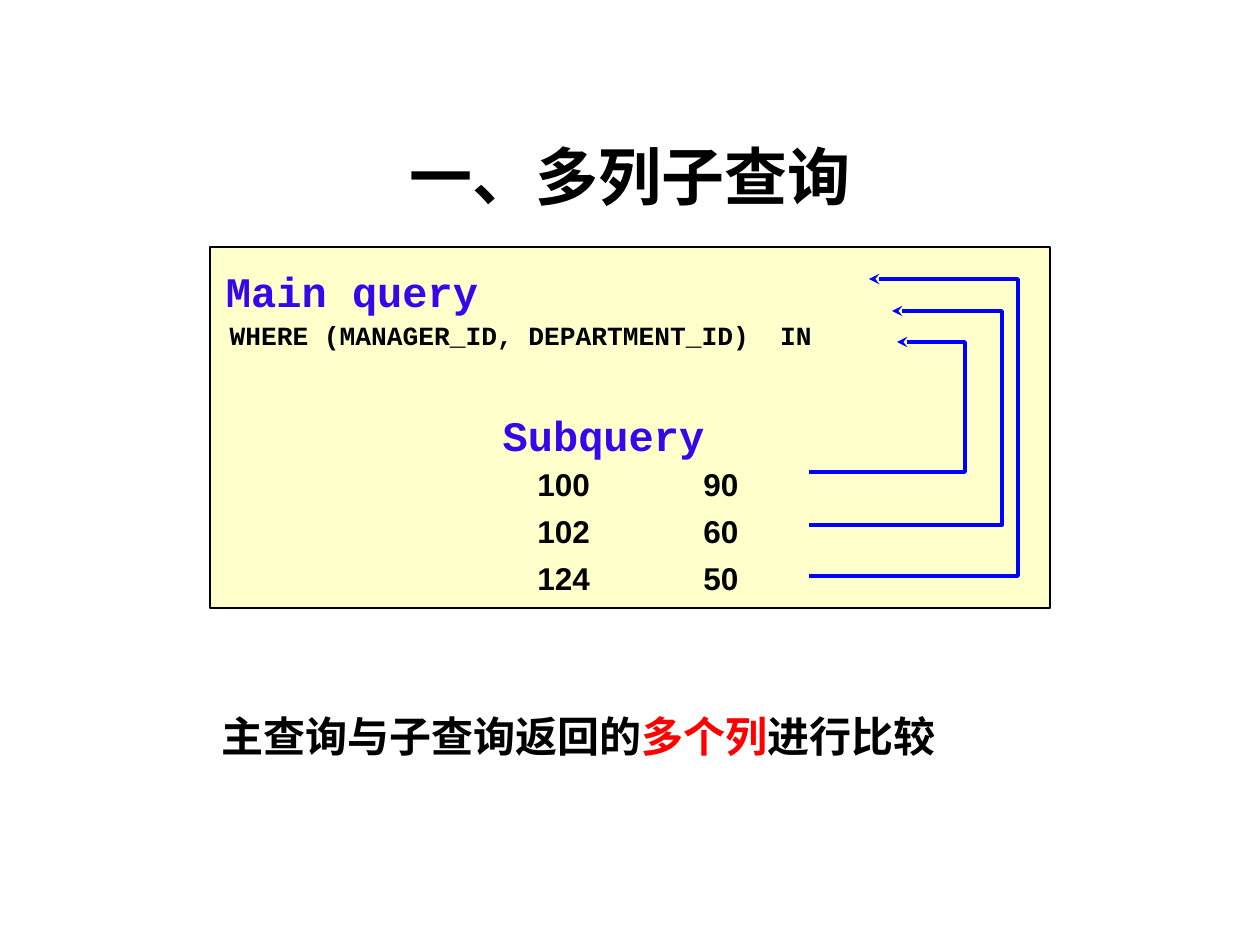
from dataclasses import dataclass

from lxml.etree import SubElement
from pptx import Presentation
from pptx.dml.color import RGBColor
from pptx.enum.shapes import MSO_SHAPE as Shape
from pptx.enum.text import MSO_ANCHOR as Anchor, PP_ALIGN as Align
from pptx.oxml.ns import qn
from pptx.util import Emu, Pt

SCALE = 914400 / 126


@dataclass(frozen=True)
class Theme:
    black: str = "000000"
    panel: str = "FFFFCC"
    heading: str = "3706EA"
    arrow: str = "0000FF"
    emphasis: str = "FF0000"
    title_font: str = "Calibri"
    body_font: str = "Arial"
    code_font: str = "Courier New"
    title_size: int = 36
    heading_size: int = 24
    value_size: int = 18
    code_size: int = 15


THEME = Theme()


def px(length):
    return Emu(round(length * SCALE))


def color(value):
    return RGBColor.from_string(value)


def add_text_frame(slide, box, wrap=True, anchor=Anchor.TOP):
    frame = slide.shapes.add_textbox(*map(px, box)).text_frame
    frame.word_wrap = wrap
    frame.vertical_anchor = anchor
    return frame


def add_run(paragraph, text, font, size, fill=THEME.black):
    run = paragraph.add_run()
    run.text = text
    run.font.name = font
    run.font.size = Pt(size)
    run.font.bold = True
    run.font.color.rgb = color(fill)


def add_title(slide, box, text):
    paragraph = add_text_frame(slide, box, anchor=Anchor.MIDDLE).paragraphs[0]
    paragraph.alignment = Align.CENTER
    add_run(paragraph, text, THEME.title_font, THEME.title_size)


def add_panel(slide, box):
    shape = slide.shapes.add_shape(Shape.RECTANGLE, *map(px, box))
    shape.shadow.inherit = False
    shape.fill.solid()
    shape.fill.fore_color.rgb = color(THEME.panel)
    shape.line.color.rgb = color(THEME.black)
    shape.line.width = Pt(1)


def add_code(slide, box, text, size, fill):
    paragraph = add_text_frame(slide, box, wrap=False).paragraphs[0]
    paragraph.alignment = Align.CENTER
    paragraph.line_spacing = 1.2
    add_run(paragraph, text, THEME.code_font, size, fill)


def add_value_rows(slide, box, rows, tab):
    frame = add_text_frame(slide, box)
    for index, row in enumerate(rows):
        paragraph = frame.add_paragraph() if index else frame.paragraphs[0]
        paragraph.line_spacing = 1.24
        tabs = SubElement(paragraph._p.get_or_add_pPr(), qn("a:tabLst"))
        SubElement(tabs, qn("a:tab"), pos=str(px(tab)), algn="l")
        add_run(paragraph, "\t".join(row), THEME.body_font, THEME.value_size)


def add_return_arrow(slide, start, bend, end):
    builder = slide.shapes.build_freeform(*start, scale=SCALE)
    builder.add_line_segments(
        [(bend, start[1]), (bend, end[1]), end], close=False
    )
    shape = builder.convert_to_shape()
    shape.shadow.inherit = False
    shape.fill.background()
    shape.line.color.rgb = color(THEME.arrow)
    shape.line.width = Pt(2)
    SubElement(shape.line._get_or_add_ln(), qn("a:tailEnd"), type="stealth")


def add_summary(slide, box, parts):
    paragraph = add_text_frame(slide, box).paragraphs[0]
    paragraph.line_spacing = 0.95
    for text, fill in parts:
        add_run(paragraph, text, THEME.body_font, THEME.heading_size, fill)


def main():
    presentation = Presentation()
    presentation.slide_width = px(1260)
    presentation.slide_height = px(945)
    slide = presentation.slides.add_slide(presentation.slide_layouts[6])

    add_title(slide, (63, 96, 1134, 158), "一、多列子查询")
    add_panel(slide, (210, 247, 840, 361))

    for box, text, size, fill in (
        ((212, 249, 280, 72), "Main query", THEME.heading_size, THEME.heading),
        ((214, 307, 614, 49), "WHERE (MANAGER_ID, DEPARTMENT_ID)  IN",
         THEME.code_size, THEME.black),
        ((489, 393, 229, 72), "Subquery", THEME.heading_size, THEME.heading),
    ):
        add_code(slide, box, text, size, fill)

    rows = (("100", "90"), ("102", "60"), ("124", "50"))
    add_value_rows(slide, (525, 450, 316, 149), rows, tab=166)

    for start_y, bend, end in (
        (472, 965, (897, 342)),
        (525, 1002, (892, 311)),
        (576, 1018, (869, 279)),
    ):
        add_return_arrow(slide, (809, start_y), bend, end)

    add_summary(slide, (209, 708, 895, 62), (
        ("主查询与子查询返回的", THEME.black),
        ("多个列", THEME.emphasis),
        ("进行比较", THEME.black),
    ))
    presentation.save("out.pptx")


if __name__ == "__main__":
    main()
